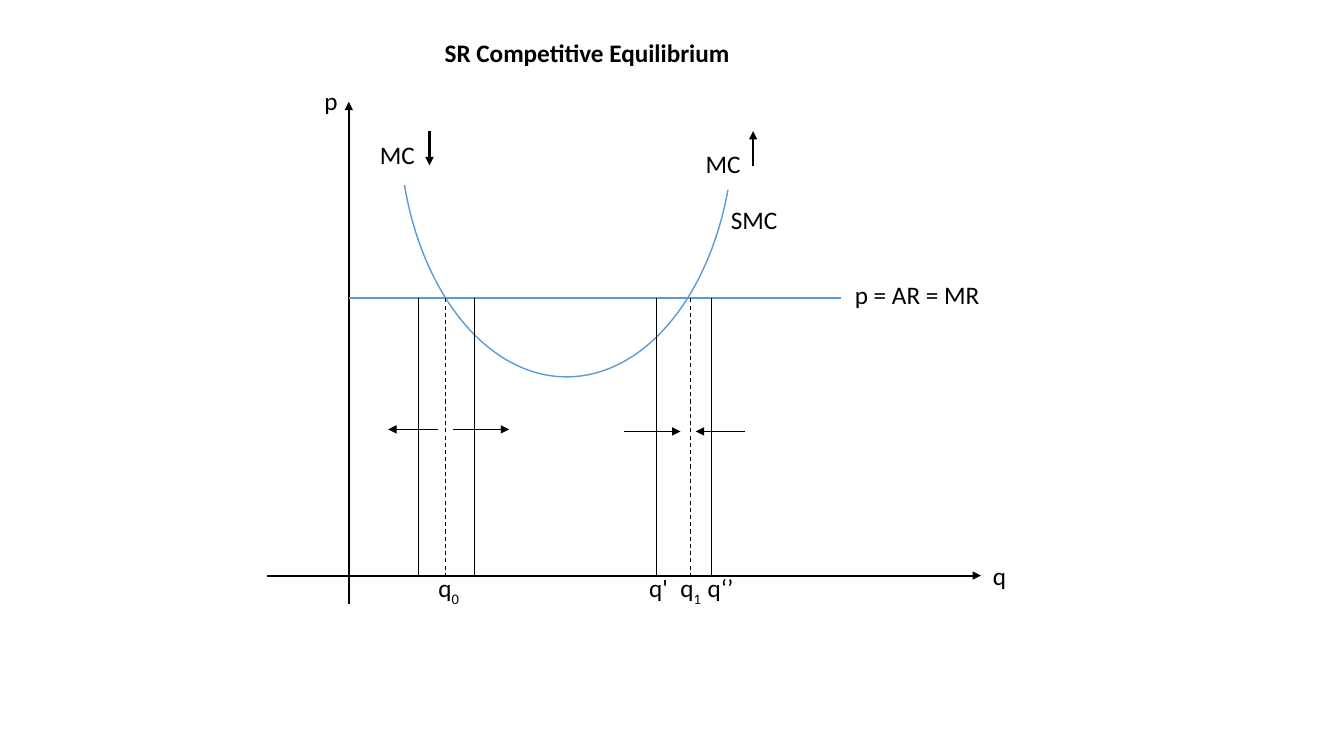
"""Build the slide on short-run competitive equilibrium."""
from dataclasses import dataclass

from lxml.etree import SubElement
from pptx import Presentation
from pptx.dml.color import RGBColor
from pptx.enum.dml import MSO_LINE
from pptx.enum.shapes import MSO_CONNECTOR, MSO_SHAPE
from pptx.enum.text import MSO_ANCHOR, MSO_AUTO_SIZE, PP_ALIGN
from pptx.oxml.ns import qn
from pptx.util import Inches, Pt


@dataclass(frozen=True)
class Theme:
    ink: RGBColor = RGBColor(0, 0, 0)
    curve: RGBColor = RGBColor(0x5B, 0x9B, 0xD5)
    face: str = "Calibri"
    size: float = 18
    thin: float = 0.5
    dash: float = 0.75
    arc: float = 1
    bold: float = 1.5


@dataclass(frozen=True)
class Line:
    start: tuple[float, float]
    end: tuple[float, float]
    width: float
    color: RGBColor
    head: bool = False
    dash: bool = False


@dataclass(frozen=True)
class Label:
    text: str
    col: float
    row: float
    cols: float
    sub: str = ""
    wrap: bool = False


theme = Theme()
deck = Presentation()
deck.slide_width, deck.slide_height = Inches(13.33), Inches(7.5)
CELL = deck.slide_height / 22.5
TALL = 1.2


def grid(*cells: float) -> list[int]:
    return [round(cell * CELL) for cell in cells]


def apply(target, **values) -> None:
    for name, value in values.items():
        setattr(target, name, value)


def draw(line: Line) -> None:
    link = slide.shapes.add_connector(
        MSO_CONNECTOR.STRAIGHT, *grid(*line.start, *line.end))
    link.line.width = Pt(line.width)
    link.line.color.rgb = line.color
    if line.dash:
        link.line.dash_style = MSO_LINE.DASH
    if line.head:
        SubElement(link.line._get_or_add_ln(), qn("a:tailEnd"), type="triangle")
    SubElement(link._element.spPr, qn("a:effectLst"))


def write(shape, label: Label, bold: bool = False) -> None:
    box = grid(label.col, label.row, label.cols, TALL)
    apply(shape, **dict(zip(("left", "top", "width", "height"), box)))
    frame = shape.text_frame
    apply(frame, word_wrap=label.wrap, vertical_anchor=MSO_ANCHOR.TOP,
          auto_size=MSO_AUTO_SIZE.SHAPE_TO_FIT_TEXT)
    para = frame.paragraphs[0]
    para.alignment = PP_ALIGN.LEFT
    for text in filter(None, (label.text, label.sub)):
        run = para.add_run()
        run.text = text
        apply(run.font, name=theme.face, size=Pt(theme.size), bold=bold)
        run.font.color.rgb = theme.ink
    if label.sub:
        run._r.get_or_add_rPr().set("baseline", "-25000")
        apply(para, line_spacing=1.07, space_after=Pt(8))


LEFT, BASE, PRICE = 10.38, 17.13, 8.88
ZERO, ONE = 13.26, 20.55
SIDES = (12.45, 14.1, 19.53, 21.18)
SHIFTS = ((13.02, 11.55, 12.78), (13.47, 15.15, 12.78),
          (18.57, 20.25, 12.84), (22.17, 20.7, 12.84))

lines = [
    Line((LEFT, 17.97), (LEFT, 3.03), theme.bold, theme.ink, head=True),
    Line((7.95, BASE), (29.19, BASE), theme.bold, theme.ink, head=True),
    Line((12.78, 3.9), (12.78, 4.92), theme.bold, theme.ink, head=True),
    Line((22.41, 4.95), (22.41, 3.9), theme.bold, theme.ink, head=True),
    Line((LEFT, PRICE), (25.02, PRICE), theme.bold, theme.curve),
    *(Line((col, PRICE), (col, BASE), theme.dash, theme.ink, dash=True)
      for col in (ZERO, ONE)),
    *(Line((col, PRICE), (col, BASE), theme.thin, theme.ink) for col in SIDES),
    *(Line((tail, row), (tip, row), theme.thin, theme.ink, head=True)
      for tail, tip, row in SHIFTS),
]
labels = [
    Label("MC", 11.01, 3.99, 1.8, wrap=True),
    Label("MC", 20.7, 4.26, 1.8, wrap=True),
    Label("SMC", 21.45, 5.94, 2.61, wrap=True),
    Label("p = AR = MR", 25.14, 8.16, 5.43, wrap=True),
    Label("p", 9.36, 2.4, 1.02),
    Label("q", 29.25, 16.53, 1.02),
    Label("q", 12.75, 16.83, 1.44, sub="0", wrap=True),
    Label("q", 19.95, 16.83, 1.26, sub="1"),
    Label("q'", 19.02, 16.89, 1.17),
    Label("q‘’", 20.76, 16.89, 1.38),
]

slide = deck.slides.add_slide(deck.slide_layouts[5])
write(slide.shapes.title,
      Label("SR Competitive Equilibrium", 12.93, 0.96, 10.02, wrap=True), bold=True)

cost = slide.shapes.add_shape(MSO_SHAPE.ARC, *grid(9.27, -1.35, 15.18, 9.96))
cost.rotation = 90
cost.adjustments[0], cost.adjustments[1] = 175.69, 41.21
cost.shadow.inherit = False
cost.fill.background()
cost.line.color.rgb = theme.curve
cost.line.width = Pt(theme.arc)

for line in lines:
    draw(line)
for label in labels:
    write(slide.shapes.add_textbox(0, 0, 0, 0), label)

deck.save("out.pptx")
